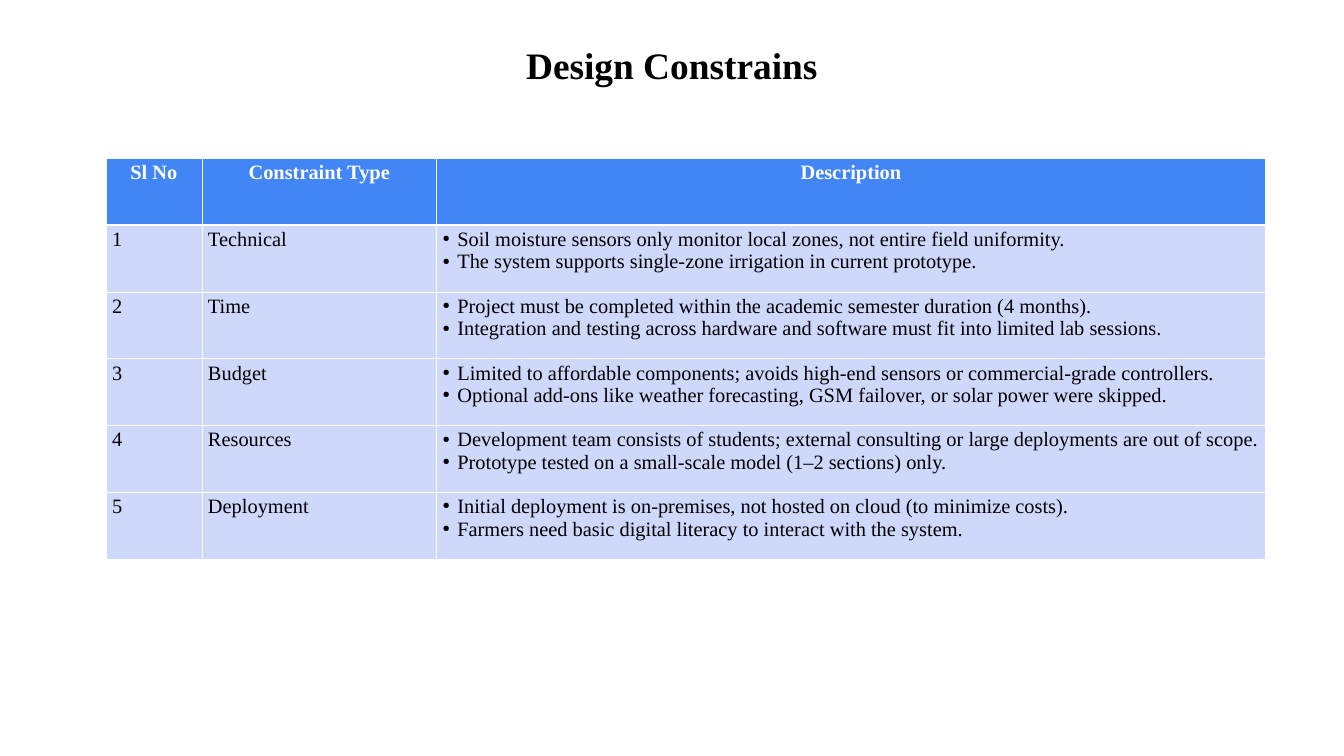
from lxml import etree
from pptx import Presentation
from pptx.dml.color import RGBColor
from pptx.enum import text
from pptx.oxml import ns
from pptx.util import Pt

COLORS = {"head": "4285F4", "body": "CDD8FB", "white": "FFFFFF", "black": "000000"}
FONT = "Times New Roman"
COL_WIDTHS = [113.04, 276.48, 976.32]
ROW_HEIGHT = 78.72
INDENT = 17.28
HEADERS = ["Sl No", "Constraint Type", "Description"]
CONSTRAINTS = [
    ("Technical", [
        "Soil moisture sensors only monitor local zones, not entire field uniformity.",
        "The system supports single-zone irrigation in current prototype."]),
    ("Time", [
        "Project must be completed within the academic semester duration (4 months).",
        "Integration and testing across hardware and software must fit into limited lab sessions."]),
    ("Budget", [
        "Limited to affordable components; avoids high-end sensors or commercial-grade controllers.",
        "Optional add-ons like weather forecasting, GSM failover, or solar power were skipped."]),
    ("Resources", [
        "Development team consists of students; external consulting or large deployments are out of scope.",
        "Prototype tested on a small-scale model (1–2 sections) only."]),
    ("Deployment", [
        "Initial deployment is on-premises, not hosted on cloud (to minimize costs).",
        "Farmers need basic digital literacy to interact with the system."]),
]


def sub(parent, tag, **attrs):
    return etree.SubElement(parent, ns.qn(tag), {k: str(v) for k, v in attrs.items()})


def write(p, words, size, color, bold, align):
    p.alignment = align
    r = p.add_run()
    r.text = words
    for name, value in {"name": FONT, "size": Pt(size), "bold": bold}.items():
        setattr(r.font, name, value)
    r.font.color.rgb = RGBColor.from_string(COLORS[color])


def add_bullet(p):
    pPr = p._p.get_or_add_pPr()
    pPr.set("marL", str(Pt(INDENT)))
    pPr.set("indent", str(-Pt(INDENT)))
    sub(sub(pPr, "a:buClr"), "a:srgbClr", val=COLORS["black"])
    sub(pPr, "a:buSzPct", val=45000)
    sub(pPr, "a:buChar", char="●")


def set_borders(cell, top, bottom):
    tcPr = cell._tc.get_or_add_tcPr()
    for side, width in {"L": 0.96, "R": 0.96, "T": top, "B": bottom}.items():
        ln = sub(tcPr, "a:ln" + side, w=Pt(width))
        sub(sub(ln, "a:solidFill"), "a:srgbClr", val=COLORS["white"])


def fill_cell(cell, lines, head=False, first=False, bullets=False):
    set_borders(cell, 3 if first else 0.96, 3 if head else 0.96)
    cell.fill.solid()
    cell.fill.fore_color.rgb = RGBColor.from_string(COLORS["head" if head else "body"])
    align = text.PP_ALIGN.CENTER if head else text.PP_ALIGN.LEFT
    if bullets:
        align = text.PP_ALIGN.JUSTIFY
    tf = cell.text_frame
    for i, line in enumerate(lines):
        p = tf.add_paragraph() if i else tf.paragraphs[0]
        write(p, line, 24, "white" if head else "black", head, align)
        if bullets:
            add_bullet(p)


def add_title(s, x, y, w, h):
    tf = s.shapes.add_textbox(Pt(x), Pt(y), Pt(w), Pt(h)).text_frame
    settings = {"word_wrap": True, "vertical_anchor": text.MSO_ANCHOR.TOP,
                "margin_left": 0, "margin_right": 0,
                "margin_top": Pt(3.6), "margin_bottom": 0}
    for name, value in settings.items():
        setattr(tf, name, value)
    p = tf.paragraphs[0]
    p.line_spacing = 0.9
    write(p, "Design Constrains", 44, "black", True, text.PP_ALIGN.CENTER)


def add_constraints(s, x, y, w, h):
    table = s.shapes.add_table(len(CONSTRAINTS) + 1, len(HEADERS),
                               Pt(x), Pt(y), Pt(w), Pt(h)).table
    for column, width in zip(table.columns, COL_WIDTHS):
        column.width = Pt(width)
    for row in table.rows:
        row.height = Pt(ROW_HEIGHT)
    # Header row
    for c, header in enumerate(HEADERS):
        fill_cell(table.cell(0, c), [header], head=True)
    # One row per constraint
    for n, (kind, points) in enumerate(CONSTRAINTS, 1):
        for c, lines in enumerate([[str(n)], [kind], points]):
            fill_cell(table.cell(n, c), lines, first=n == 1, bullets=c == 2)


def main():
    prs = Presentation()
    prs.slide_width, prs.slide_height = Pt(1583.28), Pt(890.64)
    s = prs.slides.add_slide(prs.slide_layouts[6])
    add_title(s, 592.56, 51.84, 398.16, 98.64)
    add_constraints(s, 124.8, 186.6, sum(COL_WIDTHS), ROW_HEIGHT * (len(CONSTRAINTS) + 1))
    prs.save("out.pptx")


if __name__ == "__main__":
    main()
